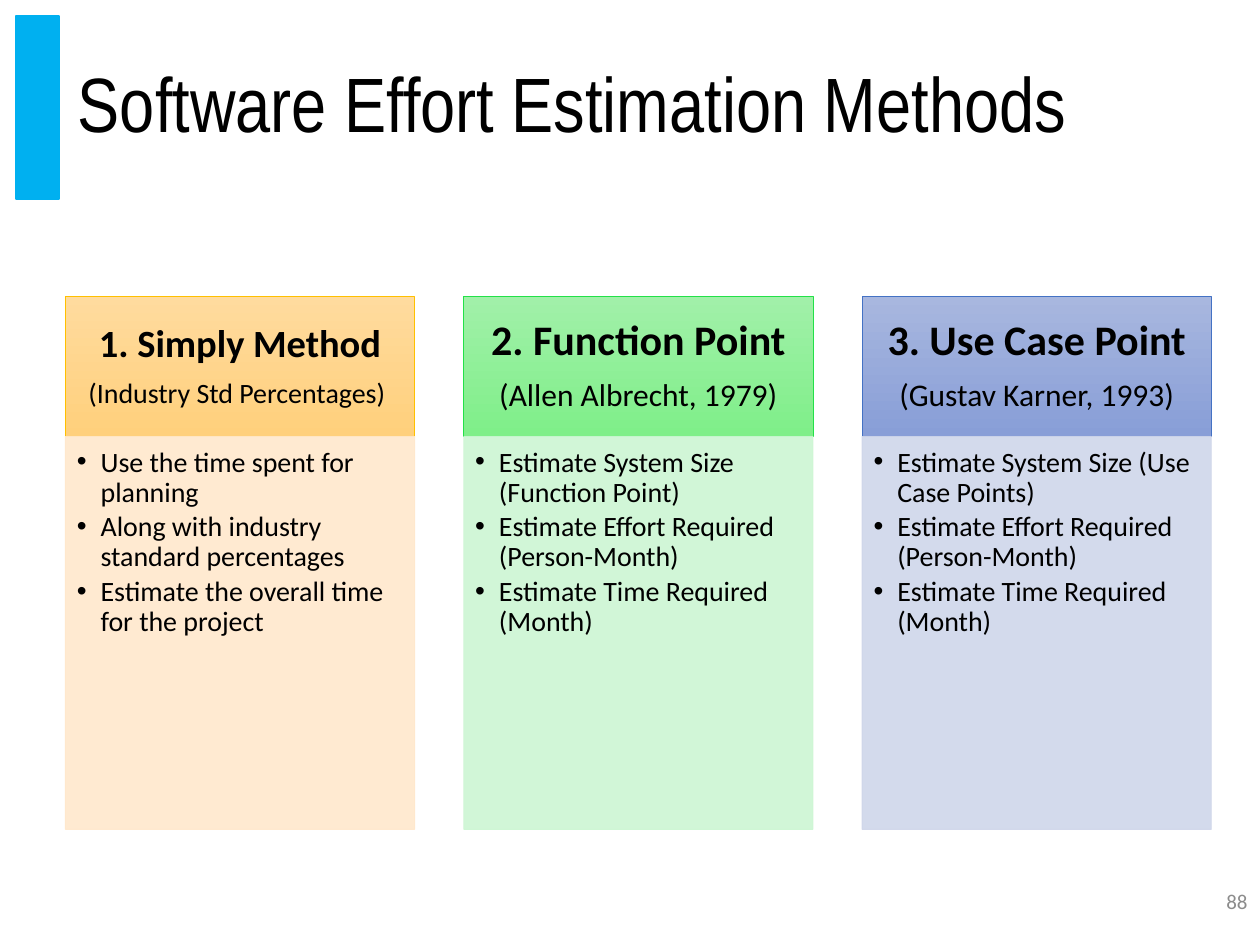
from lxml import etree
from pptx import Presentation
from pptx.dml.color import RGBColor
from pptx.enum import shapes, text
from pptx.oxml import ns
from pptx.util import Cm, Pt

BLACK = RGBColor(0, 0, 0)
GREY = RGBColor(0x8C, 0x8C, 0x8C)
BLUE = RGBColor(0x00, 0xB0, 0xF0)

TITLE = "Software Effort Estimation Methods"
PAGE = "88"
STEPS = ["Estimate Effort Required (Person-Month)", "Estimate Time Required (Month)"]
# Each method: name, origin, text sizes, head inset, gradient ends, edge, body colour, points
METHODS = [
    ("1. Simply Method", "(Industry Std Percentages) ", (22, 16), 0.43,
     (RGBColor(0xFF, 0xDB, 0x9E), RGBColor(0xFF, 0xD0, 0x7C)),
     RGBColor(0xFF, 0xC0, 0x00), RGBColor(0xFF, 0xE8, 0xCC),
     ["Use the time spent for planning",
      "Along with industry standard percentages",
      "Estimate the overall time for the project"]),
    ("2. Function Point", "(Allen Albrecht, 1979)", (24, 18), 0.48,
     (RGBColor(0xA1, 0xF0, 0xA9), RGBColor(0x7F, 0xEF, 0x89)),
     RGBColor(0x23, 0xE1, 0x48), RGBColor(0xCC, 0xF6, 0xD3),
     ["Estimate System Size (Function Point)"] + STEPS),
    ("3. Use Case Point", "(Gustav Karner, 1993)", (24, 18), 0.48,
     (RGBColor(0xA8, 0xB7, 0xDF), RGBColor(0x88, 0x9E, 0xD7)),
     RGBColor(0x44, 0x72, 0xC4), RGBColor(0xCF, 0xD6, 0xEA),
     ["Estimate System Size (Use Case Points)"] + STEPS),
]
LEFT, TOP, STEP = 1.32, 5.98, 8.03
WIDTH, HEAD, BODY = 7.04, 2.82, 7.92


def add_box(slide, left, top, width, height):
    box = slide.shapes.add_shape(
        shapes.MSO_SHAPE.RECTANGLE, Cm(left), Cm(top), Cm(width), Cm(height))
    box.shadow.inherit = False
    return box


def set_frame(box, insets, anchor):
    """Insets run left, top, right, bottom in cm."""
    frame = box.text_frame
    frame.word_wrap = True
    frame.vertical_anchor = anchor
    (frame.margin_left, frame.margin_top,
     frame.margin_right, frame.margin_bottom) = map(Cm, insets)
    return frame


def style(para, size, color=BLACK, face="Calibri", bold=False):
    for run in para.runs:
        run.font.size = Pt(size)
        run.font.name = face
        run.font.bold = bold
        run.font.color.rgb = color


def add_bullet(para):
    props = para._p.get_or_add_pPr()
    props.set("marL", str(Cm(0.48)))
    props.set("indent", str(-Cm(0.48)))
    etree.SubElement(props, ns.qn("a:buFont"), typeface="Arial")
    etree.SubElement(props, ns.qn("a:buChar"), char="•")


def fade(box):
    """Make fill and line 90 % opaque."""
    for color in box._element.spPr.iter(ns.qn("a:srgbClr")):
        etree.SubElement(color, ns.qn("a:alpha"), val="90000")


def add_head(slide, left, name, origin, sizes, inset, ends, edge):
    box = add_box(slide, left, TOP, WIDTH, HEAD)
    box.fill.gradient()
    box.fill.gradient_angle = 270
    for stop, color in zip(box.fill.gradient_stops, ends):
        stop.color.rgb = color
    box.line.color.rgb = edge
    box.line.width = Pt(0.5)
    frame = set_frame(box, (inset, 0.27, inset, 0.27), text.MSO_ANCHOR.MIDDLE)
    frame.text = name + "\n" + origin
    for para, size, bold in zip(frame.paragraphs, sizes, (True, False)):
        para.alignment = text.PP_ALIGN.CENTER
        para.line_spacing = 0.9
        para.space_after = Pt(round(size * 0.35, 1))
        style(para, size, bold=bold)


def add_body(slide, left, color, points):
    box = add_box(slide, left, TOP + HEAD, WIDTH, BODY)
    box.fill.solid()
    box.fill.fore_color.rgb = color
    box.line.color.rgb = color
    box.line.width = Pt(0.5)
    fade(box)
    frame = set_frame(box, (0.23, 0.23, 0.3, 0.35), text.MSO_ANCHOR.TOP)
    frame.text = "\n".join(points)
    for para in frame.paragraphs:
        para.alignment = text.PP_ALIGN.LEFT
        para.line_spacing = 0.9
        para.space_after = Pt(2.4)
        add_bullet(para)
        style(para, 16)


def main():
    deck = Presentation()
    deck.slide_width, deck.slide_height = Cm(25.4), Cm(19.05)
    slide = deck.slides.add_slide(deck.slide_layouts[5])

    bar = add_box(slide, 0.33, 0.33, 0.86, 3.68)
    bar.fill.solid()
    bar.fill.fore_color.rgb = BLUE
    bar.line.color.rgb = BLUE
    bar.line.width = Pt(1)

    title = slide.shapes.title
    title.left, title.top, title.width, title.height = map(Cm, (1.32, 0.33, 23.11, 3.68))
    frame = set_frame(title, (0.25, 0.13, 0.25, 0.13), text.MSO_ANCHOR.MIDDLE)
    frame.text = TITLE
    para = frame.paragraphs[0]
    para.alignment = text.PP_ALIGN.LEFT
    para.line_spacing = 0.9
    style(para, 44, face="Arial Narrow")

    for col, (*head, color, points) in enumerate(METHODS):
        left = LEFT + col * STEP
        add_head(slide, left, *head)
        add_body(slide, left, color, points)

    page = slide.shapes.add_textbox(Cm(19.69), Cm(17.65), Cm(5.71), Cm(1.02))
    frame = set_frame(page, (0.25, 0.13, 0.25, 0.13), text.MSO_ANCHOR.MIDDLE)
    frame.text = PAGE
    frame.paragraphs[0].alignment = text.PP_ALIGN.RIGHT
    style(frame.paragraphs[0], 12, GREY)

    deck.save("out.pptx")


if __name__ == "__main__":
    main()
